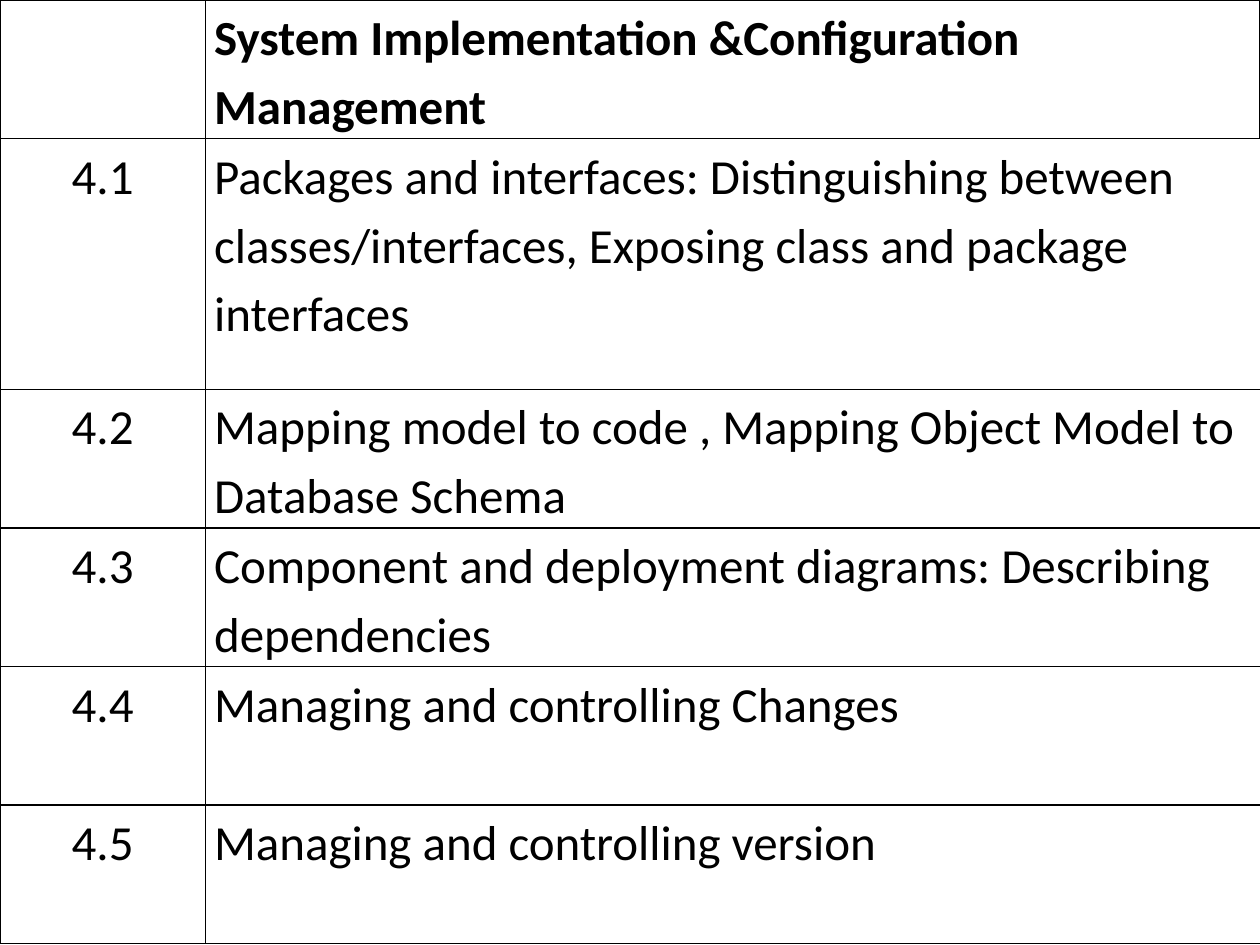
from lxml import etree
from pptx import Presentation
from pptx.dml.color import RGBColor
from pptx.enum import text
from pptx.oxml.ns import qn
from pptx.util import Inches, Pt

BLACK = RGBColor(0, 0, 0)
WHITE = RGBColor(255, 255, 255)

topics = [
    ("", "System Implementation &Configuration Management"),
    ("4.1", "Packages and interfaces: Distinguishing between "
            "classes/interfaces, Exposing class and package interfaces"),
    ("4.2", "Mapping model to code , Mapping Object Model to Database Schema"),
    ("4.3", "Component and deployment diagrams: Describing dependencies"),
    ("4.4", "Managing and controlling Changes"),
    ("4.5", "Managing and controlling version"),
]


def add_line(cell, side, shown):
    props = cell._tc.get_or_add_tcPr()
    line = etree.SubElement(props, qn(f"a:ln{side}"), w=str(Pt(1)))
    if shown:
        fill = etree.SubElement(line, qn("a:solidFill"))
        etree.SubElement(fill, qn("a:srgbClr"), val=str(BLACK))
    else:
        etree.SubElement(line, qn("a:noFill"))


deck = Presentation()
deck.slide_width = Inches(10)
deck.slide_height = Inches(7.5)
slide = deck.slides.add_slide(deck.slide_layouts[6])

frame = slide.shapes.add_table(
    len(topics), 2, 0, 0, Inches(10), Inches(7.5))
table = frame.table
table.first_row = False
table.horz_banding = False
table.columns[0].width = Inches(1.63)
table.columns[1].width = Inches(8.37)

for r, topic in enumerate(topics):
    table.rows[r].height = Inches(1.99 if r == 1 else 1.1)
    for c, words in enumerate(topic):
        cell = table.cell(r, c)
        cell.margin_left = cell.margin_right = Inches(0.07)
        cell.margin_top = cell.margin_bottom = 0
        for side in "LRTB":
            add_line(cell, side, side != "R" or c == 0 or r == 0)
        cell.fill.solid()
        cell.fill.fore_color.rgb = WHITE
        cell.text = words
        para = cell.text_frame.paragraphs[0]
        para.line_spacing = 1.15
        para.alignment = text.PP_ALIGN.LEFT if c else text.PP_ALIGN.CENTER
        para.font.name = "Calibri"
        para.font.size = Pt(28)
        para.font.bold = r == 0
        para.font.color.rgb = BLACK

deck.save("out.pptx")
